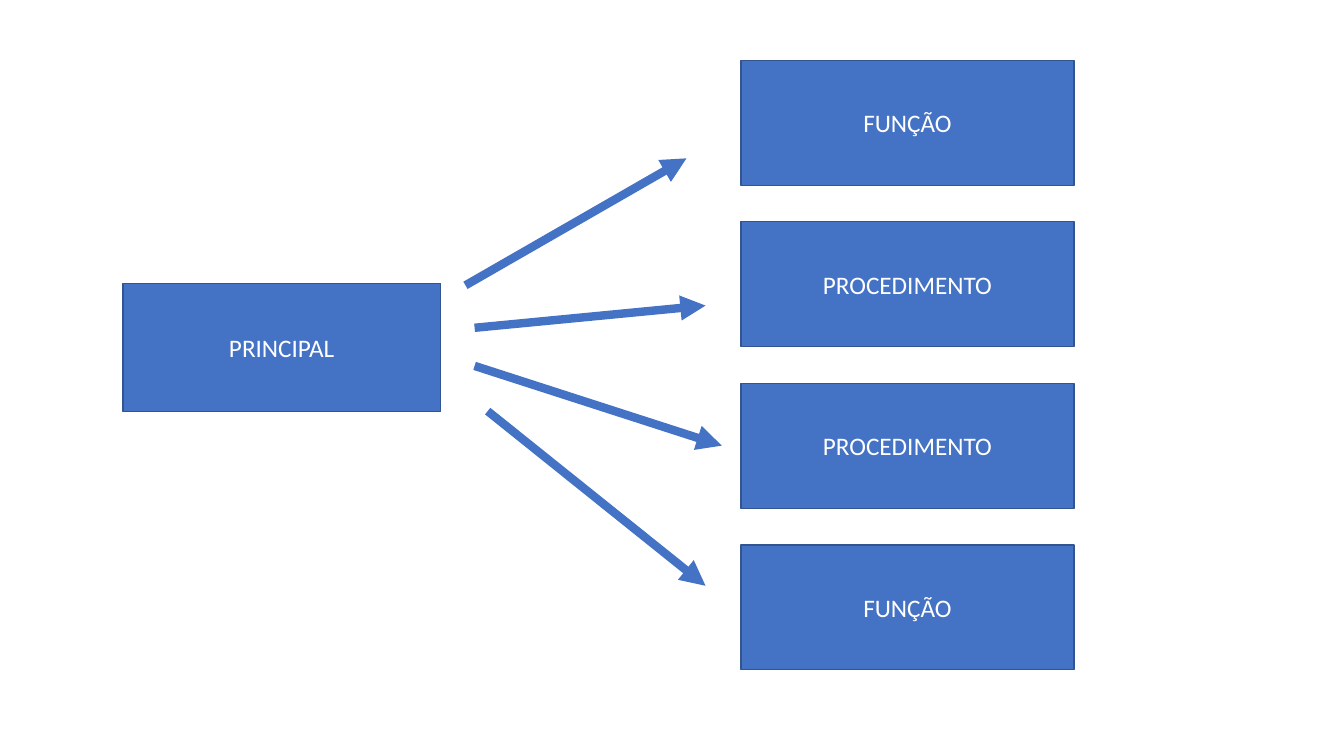
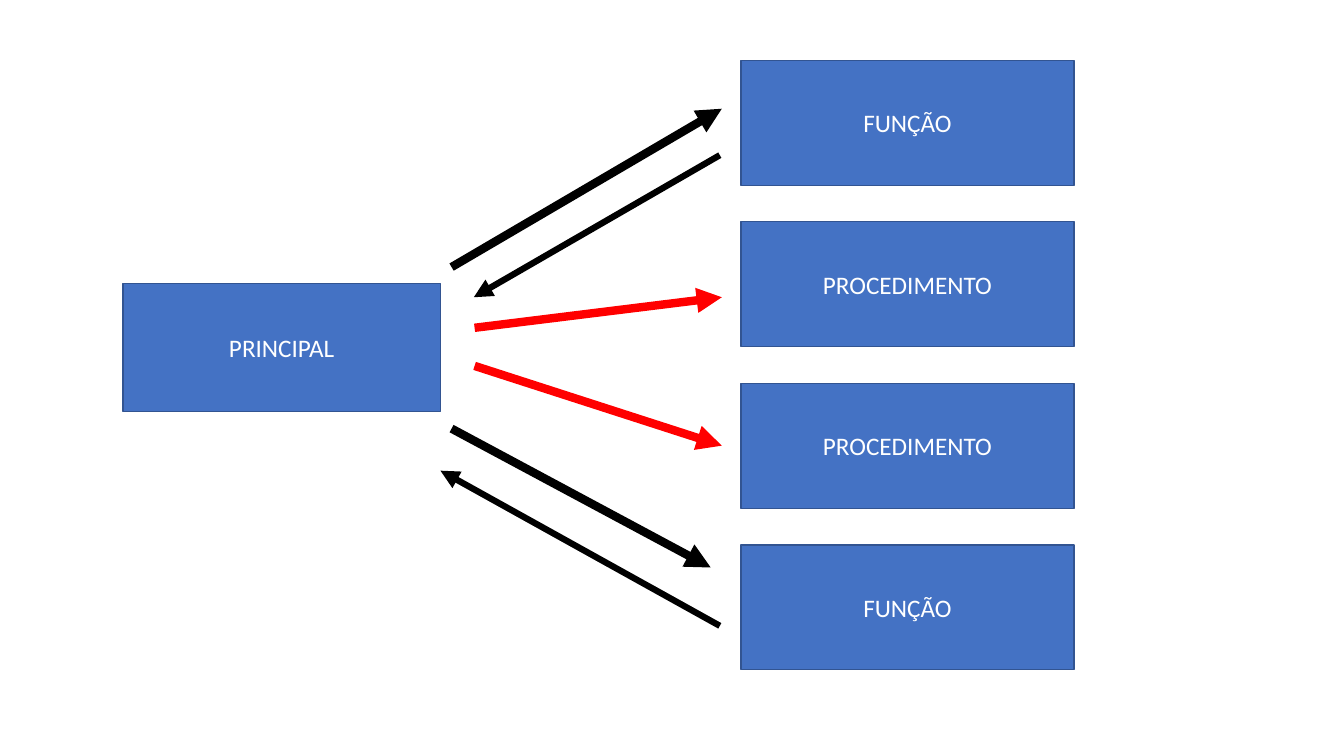
import pptx
import pptx.dml.color
import pptx.enum.shapes
import pptx.enum.text
import pptx.oxml.ns
import pptx.util
from lxml import etree
from pptx.util import Cm

COLORS = {
    "box": "4472C4",
    "border": "325491",
    "label": "FFFFFF",
    "call": "000000",
    "no_return": "FF0000",
}
FONT = "Calibri"

# Column of called routines, evenly spaced
ROUTINES = ["FUNÇÃO", "PROCEDIMENTO", "PROCEDIMENTO", "FUNÇÃO"]
ROUTINE_TOP, ROUTINE_PITCH = 1.52, 4.07

CALL_WIDTH, RETURN_WIDTH = 6, 4.5

# Arrows: start, end (cm), colour, width (pt)
PLAIN_CALLS = [
    ((11.73, 7.19), (17.3, 3.99), "box", CALL_WIDTH),
    ((11.96, 8.26), (17.78, 7.7), "box", CALL_WIDTH),
    ((11.96, 9.22), (18.19, 11.23), "box", CALL_WIDTH),
    ((12.29, 10.36), (17.78, 14.76), "box", CALL_WIDTH),
]
CALLS_AND_RETURNS = [
    ((11.38, 6.73), (18.19, 2.74), "call", CALL_WIDTH),
    ((11.96, 8.26), (18.19, 7.49), "no_return", CALL_WIDTH),
    ((11.96, 9.22), (18.19, 11.23), "no_return", CALL_WIDTH),
    ((18.14, 3.91), (11.94, 7.49), "call", RETURN_WIDTH),
    ((11.38, 10.8), (17.91, 14.3), "call", CALL_WIDTH),
    ((18.14, 15.77), (11.1, 11.86), "call", RETURN_WIDTH),
]


def rgb(name):
    return pptx.dml.color.RGBColor.from_string(COLORS[name])


def add_box(slide, label, left, top, width, height):
    box = slide.shapes.add_shape(
        pptx.enum.shapes.MSO_SHAPE.RECTANGLE,
        Cm(left), Cm(top), Cm(width), Cm(height))
    box.shadow.inherit = False
    box.fill.solid()
    box.fill.fore_color.rgb = rgb("box")
    box.line.color.rgb = rgb("border")
    box.line.width = pptx.util.Pt(1)

    # Centred label
    frame = box.text_frame
    frame.word_wrap = True
    frame.vertical_anchor = pptx.enum.text.MSO_ANCHOR.MIDDLE
    paragraph = frame.paragraphs[0]
    paragraph.text = label
    paragraph.alignment = pptx.enum.text.PP_ALIGN.CENTER
    paragraph.font.name = FONT
    paragraph.font.size = pptx.util.Pt(18)
    paragraph.font.color.rgb = rgb("label")


def add_arrow(slide, start, end, color, width):
    arrow = slide.shapes.add_connector(
        pptx.enum.shapes.MSO_CONNECTOR.STRAIGHT,
        *(Cm(value) for value in start + end))
    arrow.line.color.rgb = rgb(color)
    arrow.line.width = pptx.util.Pt(width)

    # Arrowhead at the end, no shadow
    qn = pptx.oxml.ns.qn
    properties = arrow._element.spPr
    etree.SubElement(properties.find(qn("a:ln")), qn("a:tailEnd"), type="triangle")
    etree.SubElement(properties, qn("a:effectLst"))


def add_diagram(presentation, arrows):
    slide = presentation.slides.add_slide(presentation.slide_layouts[6])
    add_box(slide, "PRINCIPAL", 3.1, 7.14, 8.0, 3.23)
    for row, routine in enumerate(ROUTINES):
        add_box(slide, routine, 18.67, ROUTINE_TOP + row * ROUTINE_PITCH, 8.4, 3.15)
    for arrow in arrows:
        add_arrow(slide, *arrow)


def main():
    presentation = pptx.Presentation()
    presentation.slide_width = Cm(33.87)
    presentation.slide_height = Cm(19.05)
    for arrows in (PLAIN_CALLS, CALLS_AND_RETURNS):
        add_diagram(presentation, arrows)
    presentation.save("out.pptx")


if __name__ == "__main__":
    main()
